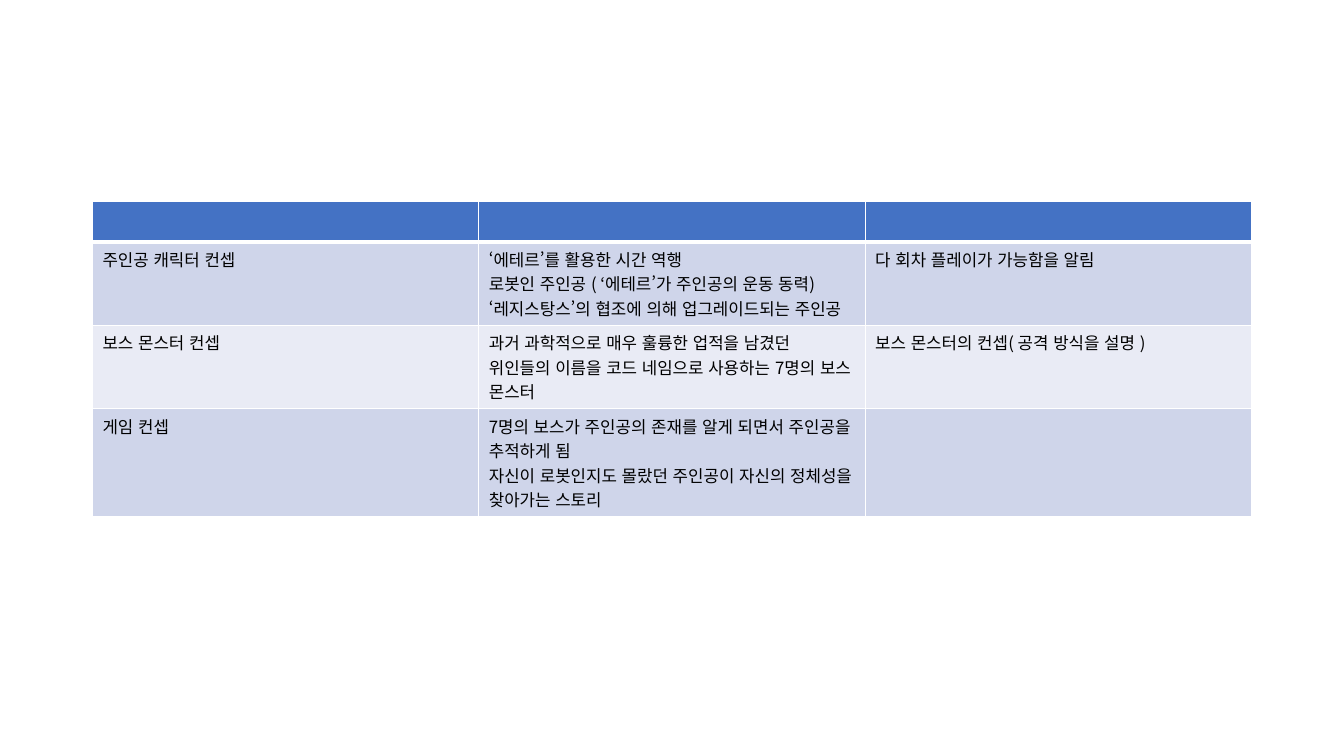
from lxml import etree
from pptx import Presentation
from pptx.dml.color import RGBColor
from pptx.enum.lang import MSO_LANGUAGE_ID
from pptx.oxml.ns import qn
from pptx.util import Cm, Pt

KOREAN = MSO_LANGUAGE_ID.KOREAN
FONT = "Noto Sans CJK KR"
BLACK = RGBColor(0x00, 0x00, 0x00)
WHITE = RGBColor(0xFF, 0xFF, 0xFF)
HEADER_BLUE = RGBColor(0x44, 0x72, 0xC4)
BAND_DARK = RGBColor(0xCF, 0xD5, 0xEA)
BAND_LIGHT = RGBColor(0xE9, 0xEB, 0xF5)

# Each row: topic, concept (one paragraph per line), remark
CONCEPTS = [
    ("", "", ""),
    ("주인공 캐릭터 컨셉",
     "‘에테르’를 활용한 시간 역행\n"
     "로봇인 주인공 ( ‘에테르’가 주인공의 운동 동력)\n"
     "‘레지스탕스’의 협조에 의해 업그레이드되는 주인공",
     "다 회차 플레이가 가능함을 알림"),
    ("보스 몬스터 컨셉",
     "과거 과학적으로 매우 훌륭한 업적을 남겼던 위인들의 이름을 "
     "코드 네임으로 사용하는 7명의 보스 몬스터",
     "보스 몬스터의 컨셉( 공격 방식을 설명 )"),
    ("게임 컨셉",
     "7명의 보스가 주인공의 존재를 알게 되면서 주인공을 추적하게 됨\n"
     "자신이 로봇인지도 몰랐던 주인공이 자신의 정체성을 찾아가는 스토리",
     ""),
]
ROW_HEIGHTS = [Cm(1), Cm(2.1), Cm(2.1), Cm(2.7)]


def set_borders(cell, bottom):
    """Draw white cell borders; the bottom width is in points."""
    properties = cell._tc.get_or_add_tcPr()
    for side, width in (("L", 1), ("R", 1), ("T", 1), ("B", bottom)):
        line = etree.SubElement(properties, qn(f"a:ln{side}"), w=str(Pt(width)))
        fill = etree.SubElement(line, qn("a:solidFill"))
        etree.SubElement(fill, qn("a:srgbClr"), val=str(WHITE))


def write_text(cell, text):
    cell.text_frame.text = text
    for paragraph in cell.text_frame.paragraphs:
        for run in paragraph.runs:
            run.font.size = Pt(12)
            run.font.name = FONT
            run.font.language_id = KOREAN
            run.font.color.rgb = BLACK
            etree.SubElement(run.font._element, qn("a:ea"), typeface=FONT)


def add_concept_table(slide, left, top, width):
    columns = len(CONCEPTS[0])
    table = slide.shapes.add_table(
        len(CONCEPTS), columns, left, top, width, sum(ROW_HEIGHTS)).table
    for column in table.columns:
        column.width = width // columns

    for row_index, texts in enumerate(CONCEPTS):
        table.rows[row_index].height = ROW_HEIGHTS[row_index]
        if row_index == 0:
            band = HEADER_BLUE
        else:
            band = BAND_DARK if row_index % 2 else BAND_LIGHT
        for column_index, text in enumerate(texts):
            cell = table.cell(row_index, column_index)
            # The rule under the header is heavier than the others
            set_borders(cell, bottom=3 if row_index == 0 else 1)
            cell.fill.solid()
            cell.fill.fore_color.rgb = band
            if text:
                write_text(cell, text)


def main():
    presentation = Presentation()
    presentation.slide_width = Cm(33.87)
    presentation.slide_height = Cm(19.05)
    slide = presentation.slides.add_slide(presentation.slide_layouts[6])

    # Concept overview
    add_concept_table(slide, Cm(2.33), Cm(5.07), Cm(29.21))

    presentation.save("out.pptx")


if __name__ == "__main__":
    main()
